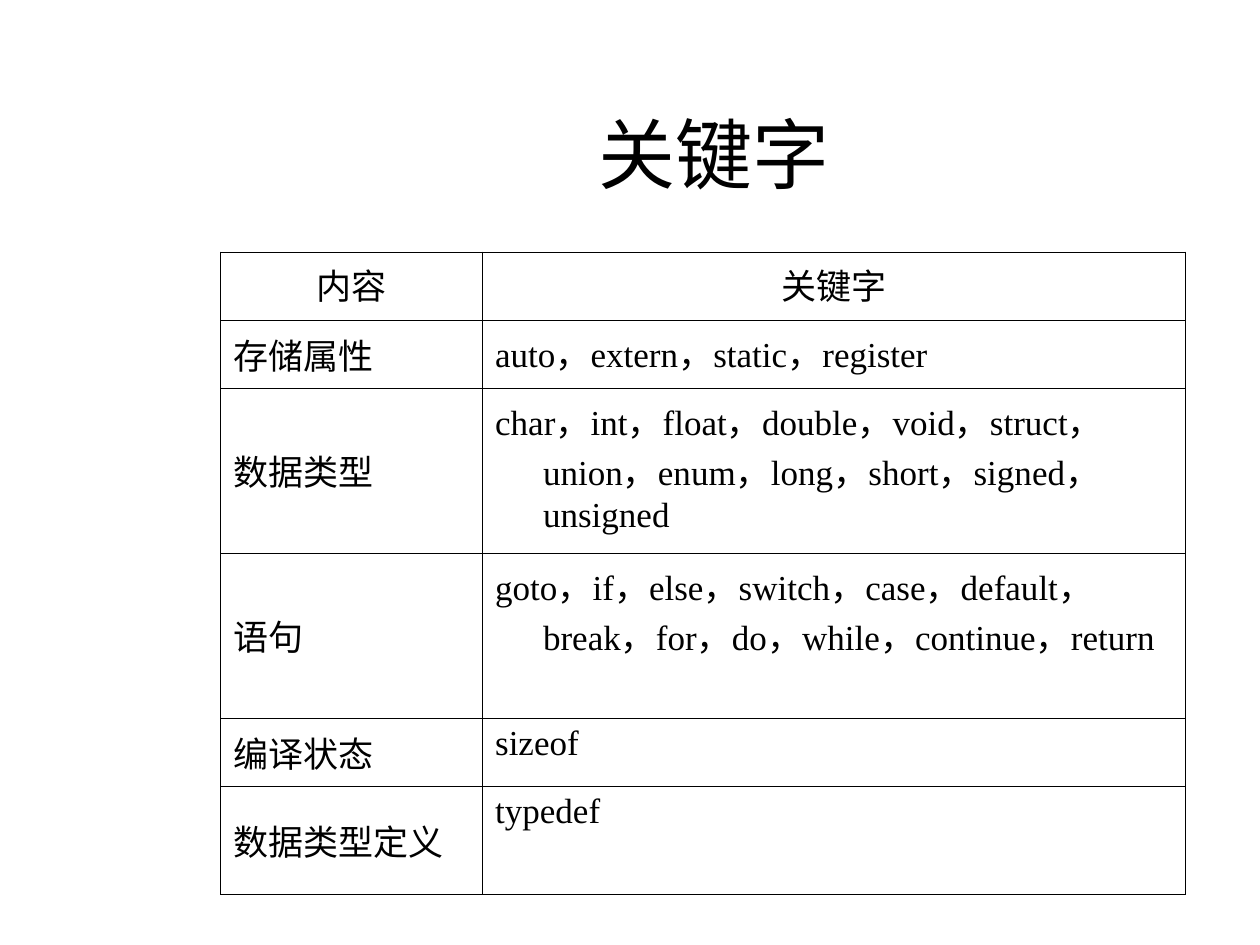
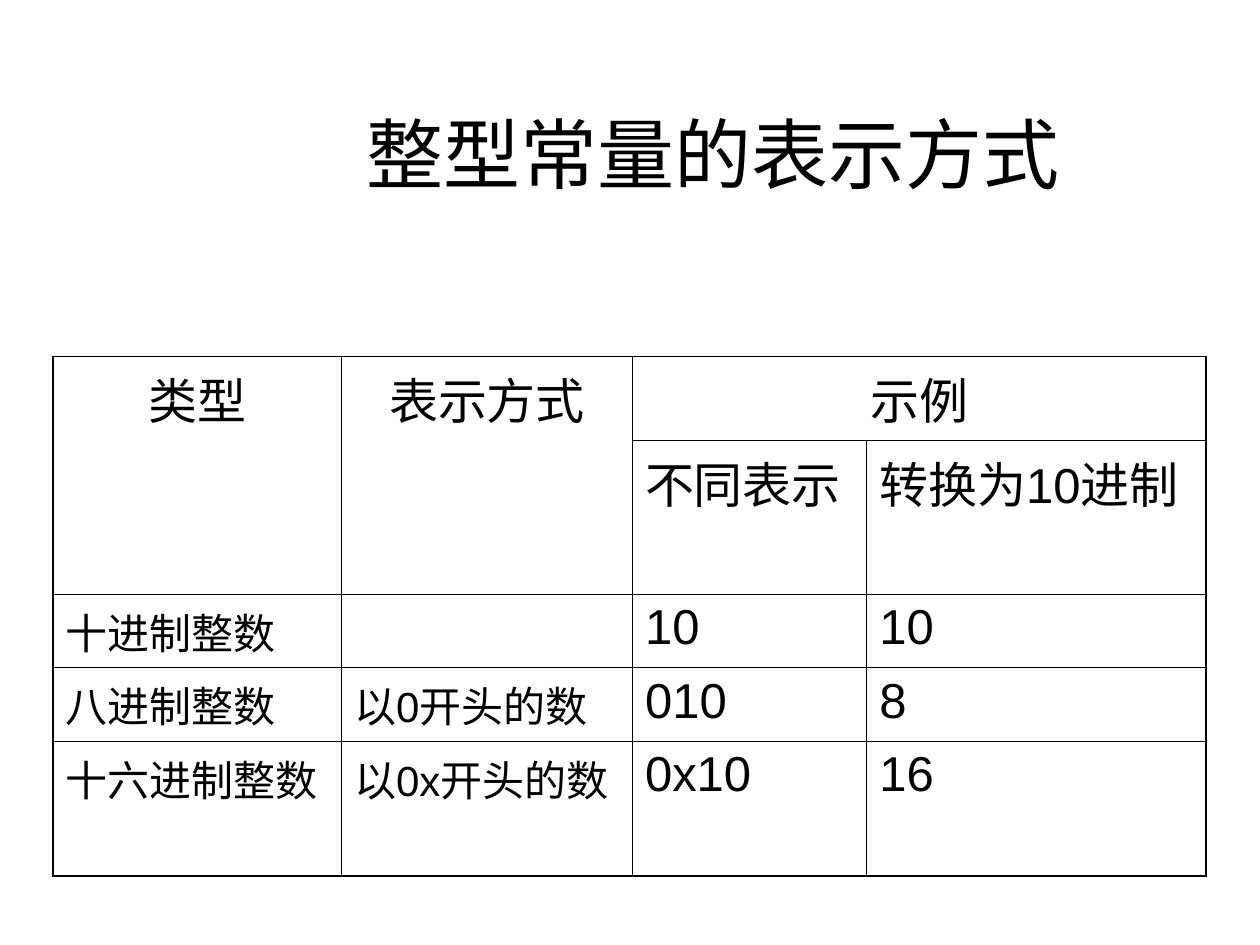
from dataclasses import dataclass

from lxml import etree
from pptx import Presentation
from pptx.dml.color import RGBColor as Rgb
from pptx.enum.lang import MSO_LANGUAGE_ID as Lang
from pptx.enum.text import MSO_ANCHOR as Anchor, MSO_AUTO_SIZE as Fit, PP_ALIGN as Align
from pptx.oxml.ns import qn
from pptx.util import Inches, Pt


@dataclass(frozen=True)
class Theme:
    ink: str = "000000"
    paper: str = "FFFFFF"
    head: str = "Calibri"
    serif: str = "Times New Roman"
    sans: str = "Arial"
    title: int = 44
    large: int = 28
    mid: int = 24
    small: int = 20
    thin: float = 0.45
    thick: float = 1.08


class Deck:
    def __init__(self, theme):
        self.theme = theme
        self.prs = Presentation()
        self.prs.slide_width, self.prs.slide_height = Inches(10), Inches(7.5)
        self.slide = None

    def label(self, frame, text, face, size, align, hang=0):
        para = frame.paragraphs[0]
        para.alignment = align
        if hang:
            props = para._p.get_or_add_pPr()
            props.set("marL", str(Inches(hang)))
            props.set("indent", str(-Inches(hang)))
        if not text:
            return
        run = para.add_run()
        run.text = text
        style = {"name": face, "size": Pt(size),
                 "language_id": Lang.SIMPLIFIED_CHINESE}
        for key, value in style.items():
            setattr(run.font, key, value)
        run.font.color.rgb = Rgb.from_string(self.theme.ink)

    def page(self, title):
        self.slide = self.prs.slides.add_slide(self.prs.slide_layouts[5])
        fill = self.slide.background.fill
        fill.solid()
        fill.fore_color.rgb = Rgb.from_string(self.theme.paper)
        shape = self.slide.shapes.title
        place = {"left": 1.83, "top": 0.5, "width": 7.67, "height": 1.42}
        for key, value in place.items():
            setattr(shape, key, Inches(value))
        frame = shape.text_frame
        form = {"auto_size": Fit.NONE, "word_wrap": True,
                "vertical_anchor": Anchor.MIDDLE}
        for key, value in form.items():
            setattr(frame, key, value)
        self.label(frame, title, self.theme.head, self.theme.title, Align.CENTER)

    def border(self, cell, widths):
        props = cell._tc.get_or_add_tcPr()
        for side, width in widths.items():
            line = etree.SubElement(props, qn(f"a:ln{side}"), w=str(Pt(width)))
            fill = etree.SubElement(line, qn("a:solidFill"))
            etree.SubElement(fill, qn("a:srgbClr"), val=self.theme.ink)

    def table(self, left, top, cols, rows, data, face, size,
              merges=(), rim=None, hang=0, anchor=None):
        """size(row, col) and anchor(row, col) give each cell's format."""
        thin = self.theme.thin
        rim = rim or thin
        grid = self.slide.shapes.add_table(
            len(rows), len(cols), Inches(left), Inches(top),
            Inches(sum(cols)), Inches(sum(rows))).table
        grid.first_row = grid.horz_banding = False
        for col, width in zip(grid.columns, cols):
            col.width = Inches(width)
        for row, height in zip(grid.rows, rows):
            row.height = Inches(height)
        for start, end in merges:
            grid.cell(*start).merge(grid.cell(*end))

        for r, line in enumerate(data):
            for c, text in enumerate(line):
                cell = grid.cell(r, c)
                right = c + cell.span_width == len(cols)
                low = r + cell.span_height == len(rows)
                self.border(cell, {"L": thin if c else rim,
                                   "R": rim if right else thin,
                                   "T": thin if r else rim,
                                   "B": rim if low else thin})
                cell.fill.background()
                if anchor:
                    cell.vertical_anchor = anchor(r, c)
                align = Align.LEFT if r else Align.CENTER
                self.label(cell.text_frame, text, face, size(r, c), align, hang)


def main():
    theme = Theme()
    deck = Deck(theme)

    # Keywords by group
    deck.page("关键字")
    words = [
        ("内容", "关键字"),
        ("存储属性", "auto，extern，static，register"),
        ("数据类型", "char，int，float，double，void，struct，union，enum，"
                 "long，short，signed， unsigned"),
        ("语句", "goto，if，else，switch，case，default，break，for，do，"
               "while，continue，return"),
        ("编译状态", "sizeof"),
        ("数据类型定义", "typedef"),
    ]
    deck.table(1.75, 2, [2.08, 5.58], [0.54, 0.54, 1.1, 1.1, 0.54, 0.86],
               words, theme.serif, lambda r, c: theme.small, hang=0.38,
               anchor=lambda r, c: Anchor.MIDDLE if r and not c else Anchor.TOP)

    # Ways to show an integer constant
    deck.page("整型常量的表示方式")
    forms = [
        ("类型", "表示方式", "示例", ""),
        ("", "", "不同表示", "转换为10进制"),
        ("十进制整数", "", "10", "10"),
        ("八进制整数", "以0开头的数", "010", "8"),
        ("十六进制整数", "以0x开头的数", "0x10", "16"),
    ]
    deck.table(0.42, 2.83, [2.29, 2.31, 1.86, 2.69],
               [0.57, 1.04, 0.57, 0.57, 0.9], forms, theme.sans,
               lambda r, c: theme.mid if r > 1 and c < 2 else theme.large,
               merges=[((0, 0), (1, 0)), ((0, 1), (1, 1)), ((0, 2), (0, 3))],
               rim=theme.thick)

    deck.prs.save("out.pptx")


if __name__ == "__main__":
    main()
